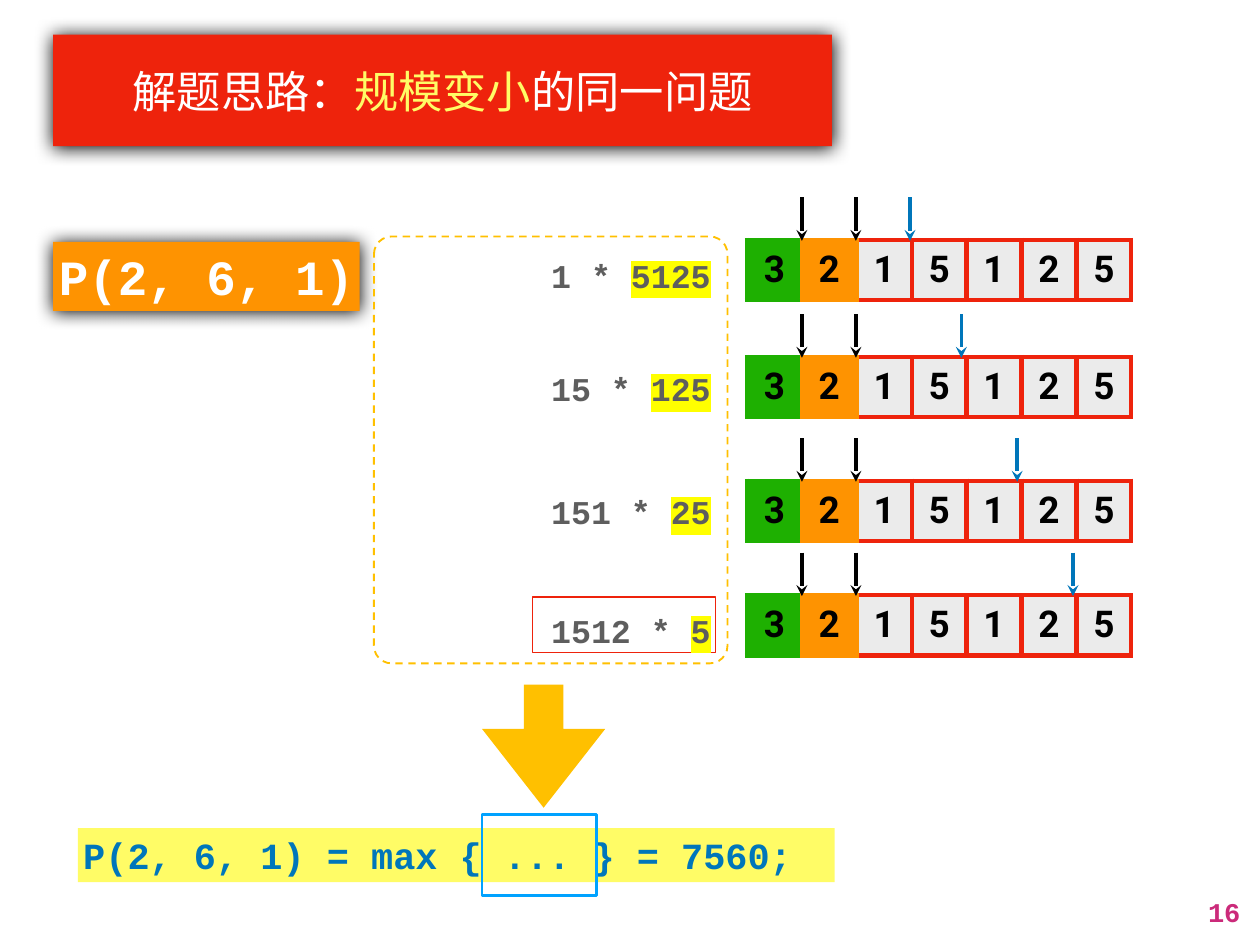
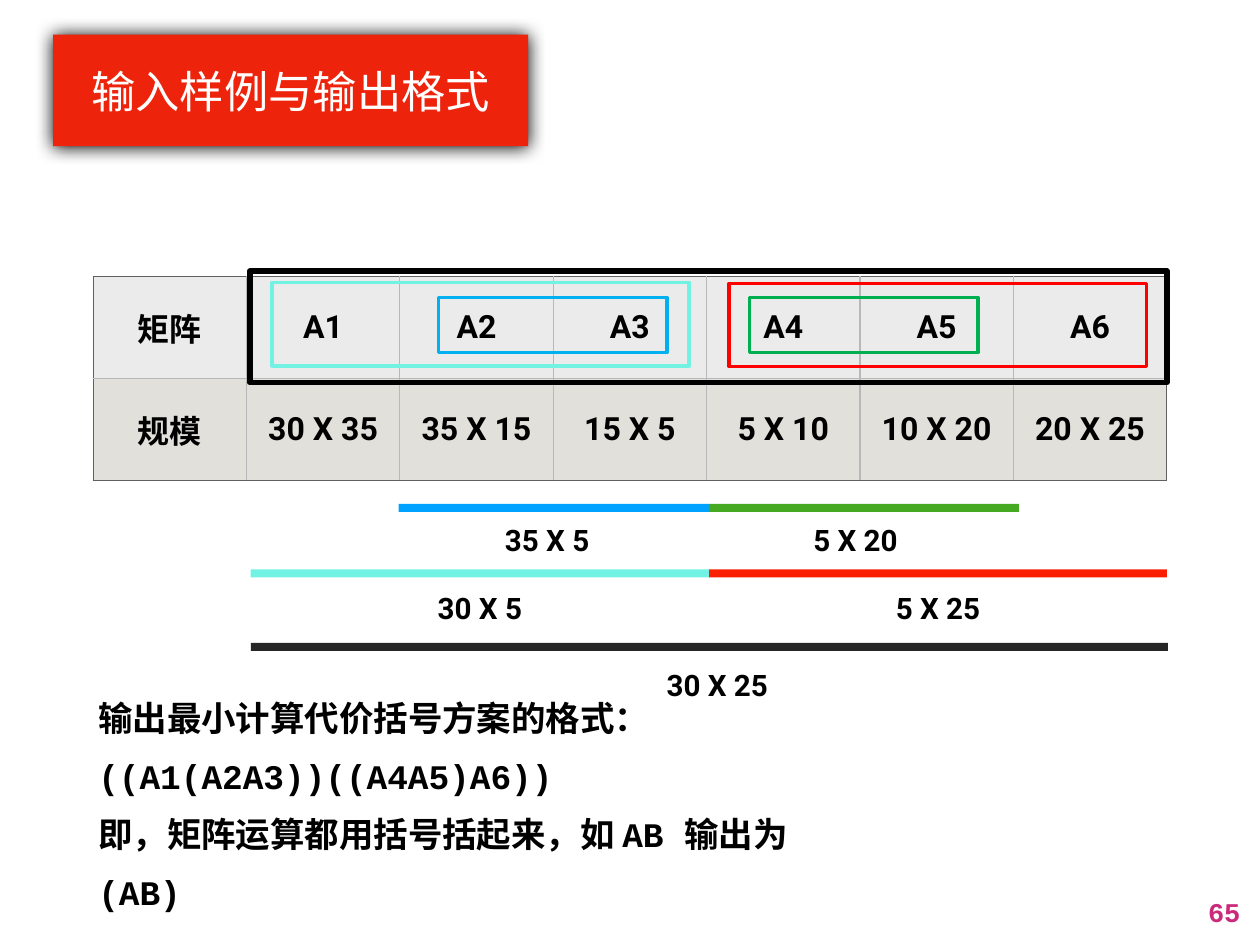
from dataclasses import dataclass
from typing import Callable, NamedTuple, Optional

from lxml.etree import Element, SubElement
from pptx import Presentation
from pptx.dml.color import RGBColor
from pptx.enum.dml import MSO_LINE
from pptx.enum.shapes import MSO_CONNECTOR, MSO_SHAPE
from pptx.enum.text import MSO_ANCHOR, PP_ALIGN
from pptx.oxml.ns import qn
from pptx.shapes.autoshape import Shape
from pptx.slide import Slide
from pptx.util import Pt

SCALE = 9144  # 100 px to the inch

BLACK = RGBColor(0x00, 0x00, 0x00)
WHITE = RGBColor(0xFF, 0xFF, 0xFF)
RED = RGBColor(0xEE, 0x23, 0x0C)
LEMON = RGBColor(0xFF, 0xFC, 0x66)
YELLOW = RGBColor(0xFF, 0xFF, 0x00)
GOLD = RGBColor(0xFF, 0xC0, 0x00)
ORANGE = RGBColor(0xFE, 0x93, 0x01)
GREEN = RGBColor(0x1E, 0xB0, 0x01)
BLUE = RGBColor(0x00, 0x76, 0xBA)
SKY = RGBColor(0x00, 0xA2, 0xFF)
AQUA = RGBColor(0x72, 0xF2, 0xE3)
PINK = RGBColor(0xCB, 0x2A, 0x7A)
INK = RGBColor(0x5E, 0x5E, 0x5E)
PALE = RGBColor(0xEB, 0xEB, 0xEB)
STONE = RGBColor(0xE1, 0xE0, 0xDA)
EDGE = RGBColor(0x60, 0x60, 0x60)
RULE = RGBColor(0xB8, 0xB8, 0xB8)
CYAN = RGBColor(0x00, 0xB0, 0xF0)
LEAF = RGBColor(0x00, 0xB0, 0x50)
GRASS = RGBColor(0x45, 0xAA, 0x21)
FLAME = RGBColor(0xFA, 0x1F, 0x00)
PURE = RGBColor(0xFF, 0x00, 0x00)
COAL = RGBColor(0x26, 0x26, 0x26)

# Font formats
TITLE = {"name": "Roboto", "size": Pt(36)}
PAGE = {"name": "Courier New", "size": Pt(22), "bold": True}
CODE = {**PAGE, "size": Pt(27)}
CALL = {**PAGE, "size": Pt(40)}
SUM = {**PAGE, "size": Pt(30)}
NOTE = {**PAGE, "size": Pt(28)}
DIGIT = {"name": "Roboto", "size": Pt(30), "bold": True}
CELL = {**DIGIT, "size": Pt(26)}
LABEL = {**DIGIT, "size": Pt(24)}


class Box(NamedTuple):
    x: int
    y: int
    w: int
    h: int


class Bit(NamedTuple):
    text: str
    color: RGBColor = BLACK
    mark: Optional[RGBColor] = None


class Skin(NamedTuple):
    fill: RGBColor
    left: RGBColor
    right: RGBColor
    top: RGBColor
    bottom: RGBColor


@dataclass
class Step:
    text_y: int
    grid_y: int
    cut_x: int
    head: str
    tail: str


@dataclass
class Frame:
    box: Box
    color: RGBColor
    width: float = 3


def px(*values: int) -> list[int]:
    return [value * SCALE for value in values]


def write(frame, lines: list[list[Bit]], look: dict, align=PP_ALIGN.CENTER,
          anchor=MSO_ANCHOR.MIDDLE, pad: int = 6, wrap: bool = True,
          space: float = 1) -> None:
    sides = ("left", "right", "top", "bottom")
    setup = {f"margin_{side}": pad * SCALE for side in sides}
    setup.update(vertical_anchor=anchor, word_wrap=wrap)
    for key, value in setup.items():
        setattr(frame, key, value)
    for i, line in enumerate(lines):
        para = frame.add_paragraph() if i else frame.paragraphs[0]
        para.alignment = align
        para.line_spacing = space
        for bit in line:
            run = para.add_run()
            run.text = bit.text
            for key, value in look.items():
                setattr(run.font, key, value)
            run.font.color.rgb = bit.color
            if bit.mark:
                glow = Element(qn("a:highlight"))
                SubElement(glow, qn("a:srgbClr"), val=str(bit.mark))
                run.font._element.find(qn("a:solidFill")).addnext(glow)


def label(slide: Slide, box: Box, lines: list[list[Bit]], look: dict,
          **opts) -> None:
    write(slide.shapes.add_textbox(*px(*box)).text_frame, lines, look, **opts)


def block(slide: Slide, box: Box, fill: Optional[RGBColor] = None,
          line: Optional[RGBColor] = None, width: float = 1,
          kind=MSO_SHAPE.RECTANGLE) -> Shape:
    shape = slide.shapes.add_shape(kind, *px(*box))
    shape.shadow.inherit = False
    if fill:
        shape.fill.solid()
        shape.fill.fore_color.rgb = fill
    else:
        shape.fill.background()
    if line:
        shape.line.color.rgb = line
        shape.line.width = Pt(width)
    else:
        shape.line.fill.background()
    return shape


def shade(shape: Shape) -> None:
    glow = shape._element.spPr.find(qn("a:effectLst"))
    drop = SubElement(glow, qn("a:outerShdw"), blurRad=str(Pt(15)),
                      dist=str(Pt(0.7)), dir="5400000", rotWithShape="0")
    SubElement(drop, qn("a:srgbClr"), val=str(BLACK))


def arrow(slide: Slide, x: int, top: int, end: int, color: RGBColor) -> None:
    line = slide.shapes.add_connector(MSO_CONNECTOR.STRAIGHT,
                                      *px(x, top, x, end))
    line.line.color.rgb = color
    line.line.width = Pt(3)
    SubElement(line.line._get_or_add_ln(), qn("a:tailEnd"), type="stealth")
    SubElement(line._element.spPr, qn("a:effectLst"))


def grid(slide: Slide, box: Box, rows: list[list[str]], look: dict,
         skin: Callable[[int, int], Skin], width: float) -> None:
    count = len(rows[0])
    table = slide.shapes.add_table(len(rows), count, *px(*box)).table
    for key in ("first_row", "horz_banding"):
        setattr(table, key, False)
    for col in table.columns:
        col.width = box.w * SCALE // count
    for r, row in enumerate(rows):
        table.rows[r].height = box.h * SCALE // len(rows)
        for c, text in enumerate(row):
            cell = table.cell(r, c)
            tone = skin(r, c)
            props = cell._tc.get_or_add_tcPr()
            for tag, color in zip("LRTB", tone[1:]):
                line = SubElement(props, qn(f"a:ln{tag}"), w=str(Pt(width)))
                fill = SubElement(line, qn("a:solidFill"))
                SubElement(fill, qn("a:srgbClr"), val=str(color))
            cell.fill.solid()
            cell.fill.fore_color.rgb = tone.fill
            write(cell.text_frame, [[Bit(text)]], look)
            cell.vertical_anchor = MSO_ANCHOR.MIDDLE
            for side in ("left", "right", "top", "bottom"):
                setattr(cell, f"margin_{side}", 6 * SCALE)


def digit_skin(r: int, c: int) -> Skin:
    if c == 0:
        return Skin(GREEN, GREEN, ORANGE, GREEN, GREEN)
    if c == 1:
        return Skin(ORANGE, *[ORANGE] * 4)
    return Skin(PALE, ORANGE if c == 2 else RED, RED, RED, RED)


def size_skin(r: int, c: int) -> Skin:
    ends = (c == 0, c == 6, r == 0, r == 1)
    return Skin((PALE, STONE)[r], *[EDGE if end else RULE for end in ends])


def base(deck, title: list[Bit], width: int, page: str) -> Slide:
    """Blank slide with the red title band and page number."""
    slide = deck.slides.add_slide(deck.slide_layouts[6])
    band = block(slide, Box(60, 39, width, 126), RED)
    shade(band)
    write(band.text_frame, [title], TITLE, pad=7)
    label(slide, Box(1355, 1004, 52, 50), [[Bit(page, PINK)]], PAGE,
          align=PP_ALIGN.RIGHT, anchor=MSO_ANCHOR.TOP, pad=7, wrap=False)
    return slide


STEPS = [
    Step(273, 271, 1027, "1", "5125"),
    Step(401, 403, 1085, "15", "125"),
    Step(540, 543, 1148, "151", "25"),
    Step(674, 672, 1211, "1512", "5"),
]


def split(deck) -> None:
    title = [Bit("解题思路：", WHITE), Bit("规模变小", LEMON),
             Bit("的同一问题", WHITE)]
    slide = base(deck, title, 879, "16")

    # Products, digit rows and cut arrows
    block(slide, Box(601, 674, 207, 63), line=RED)
    for step in STEPS:
        label(slide, Box(393, step.text_y, 415, 63),
              [[Bit(f"{step.head} * ", INK), Bit(step.tail, INK, YELLOW)]],
              CODE, align=PP_ALIGN.RIGHT, anchor=MSO_ANCHOR.TOP, space=1.2)
        y = step.grid_y
        grid(slide, Box(843, y, 434, 68), [list("3215125")], DIGIT,
             digit_skin, 4)
        for x, color in ((905, BLACK), (966, BLACK), (step.cut_x, BLUE)):
            arrow(slide, x, y - 48, y + 1, color)

    # Call and result
    call = block(slide, Box(60, 273, 346, 78), ORANGE)
    shade(call)
    write(call.text_frame, [[Bit("P(2, 6, 1)", WHITE)]], CALL, wrap=False)
    down = block(slide, Box(544, 773, 139, 139), GOLD,
                 kind=MSO_SHAPE.DOWN_ARROW)
    down.adjustments[0], down.adjustments[1] = 0.32, 0.64
    total = block(slide, Box(88, 935, 854, 61), LEMON)
    write(total.text_frame, [[Bit("P(2, 6, 1) = max { ... } = 7560;", BLUE)]],
          SUM, align=PP_ALIGN.LEFT)

    # Outlines
    block(slide, Box(544, 920, 129, 91), line=SKY, width=2.25)
    group = block(slide, Box(422, 267, 399, 482), line=GOLD, width=1.5,
                  kind=MSO_SHAPE.ROUNDED_RECTANGLE)
    group.adjustments[0] = 0.05
    group.line.dash_style = MSO_LINE.DASH


SIZES = [
    ["矩阵", "A1", "A2", "A3", "A4", "A5", "A6"],
    ["规模", "30 X 35", "35 X 15", "15 X 5", "5 X 10", "10 X 20", "20 X 25"],
]
BARS = [
    (450, 569, 350, SKY), (800, 569, 350, GRASS), (800, 643, 517, FLAME),
    (283, 643, 517, AQUA), (283, 726, 1035, COAL),
]
TAGS = [
    (563, 583, 109, "35 X 5"), (911, 583, 109, "5 X 20"),
    (487, 660, 109, "30 X 5"), (1004, 660, 109, "5 X 25"),
    (746, 747, 127, "30 X 25"),
]
FRAMES = [
    Frame(Box(495, 336, 258, 62), CYAN),
    Frame(Box(307, 319, 471, 94), AQUA),
    Frame(Box(846, 336, 258, 62), LEAF),
    Frame(Box(823, 320, 471, 94), PURE),
    Frame(Box(282, 306, 1035, 126), BLACK, 4.5),
]
NOTES = [
    "输出最小计算代价括号方案的格式：",
    "((A1(A2A3))((A4A5)A6))",
    "即，矩阵运算都用括号括起来，如 AB 输出为 (AB)",
]


def chain(deck) -> None:
    slide = base(deck, [Bit("输入样例与输出格式", WHITE)], 536, "65")
    grid(slide, Box(105, 312, 1212, 230), SIZES, CELL, size_skin, 1)
    label(slide, Box(105, 798, 861, 203), [[Bit(text)] for text in NOTES],
          NOTE, align=PP_ALIGN.LEFT, space=1.4)

    # Result sizes under the table
    for x, y, width, color in BARS:
        block(slide, Box(x, y, width, 9), color)
    for x, y, width, text in TAGS:
        label(slide, Box(x, y, width, 52), [[Bit(text)]], LABEL, wrap=False)

    # Brackets around the factors
    for frame in FRAMES:
        block(slide, frame.box, line=frame.color, width=frame.width)


def main() -> None:
    deck = Presentation()
    deck.slide_width, deck.slide_height = px(1422, 1067)
    split(deck)
    chain(deck)
    deck.save("out.pptx")


if __name__ == "__main__":
    main()
